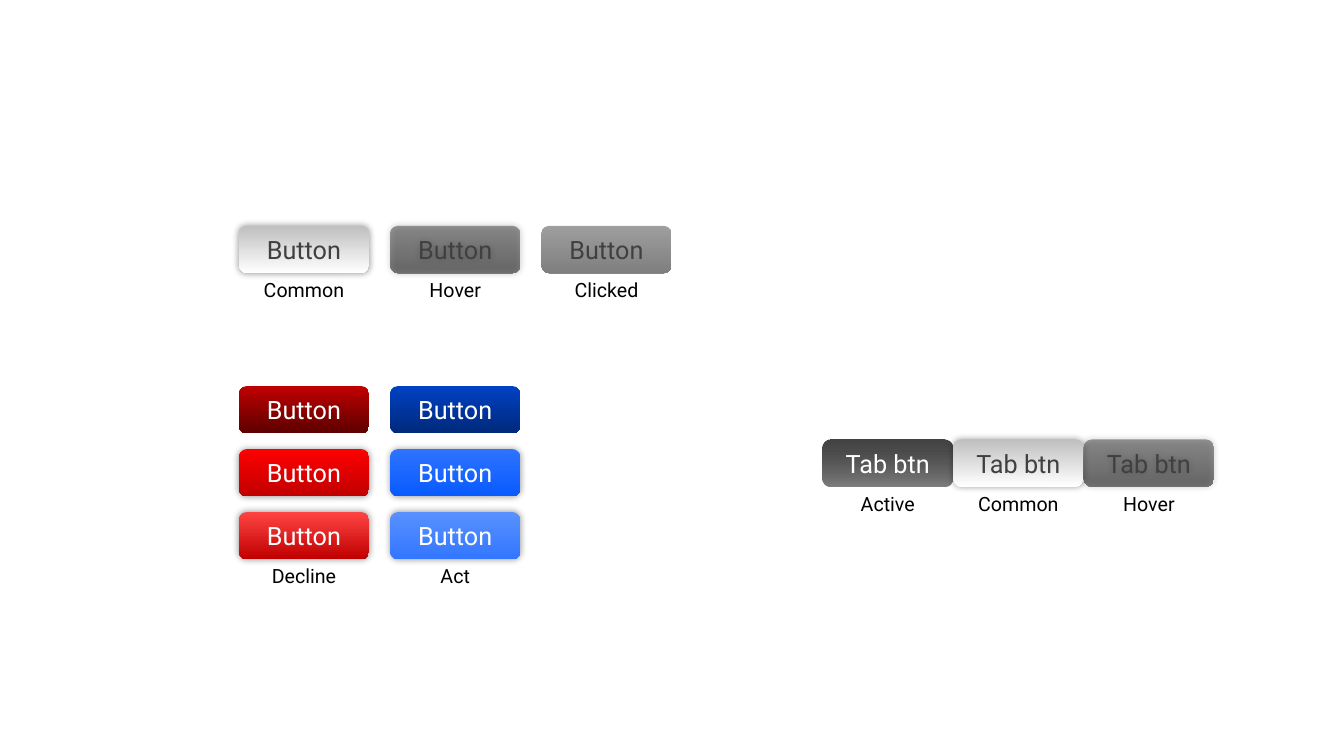
"""Build a slide showing the states of common, coloured and tab buttons."""
from lxml.etree import SubElement
from pptx import Presentation
from pptx.dml.color import RGBColor
from pptx.enum.shapes import MSO_SHAPE
from pptx.enum.text import MSO_ANCHOR, MSO_AUTO_SIZE, PP_ALIGN
from pptx.oxml.ns import qn
from pptx.util import Inches, Pt

SLIDE_W, SLIDE_H = 13.33, 7.5
BUTTON_W, BUTTON_H = 1.29, 0.47
LABEL_H = 0.34
FONT = "Roboto"
COLORS = {
    "white": "FFFFFF", "black": "000000", "charcoal": "404040", "silver": "BFBFBF",
    "maroon": "5C0000", "crimson": "C00000", "red": "FF0000", "coral": "FF4343",
    "navy": "00297A", "cobalt": "0041C4", "azure": "095BFF", "blue": "2D73FF",
    "cornflower": "3377FF", "sky": "5890FF",
}

# style: (top colour, top opacity), (bottom colour, bottom opacity), text colour, glow
STYLES = {
    "common": (("silver", 100), ("white", 100), "charcoal", True),
    "hover": (("charcoal", 50), ("black", 50), "charcoal", True),
    "clicked": (("charcoal", 50), ("black", 50), "charcoal", False),
    "active": (("charcoal", 100), ("black", 50), "white", False),
    "decline dark": (("crimson", 100), ("maroon", 100), "white", False),
    "decline": (("red", 100), ("crimson", 100), "white", True),
    "decline light": (("coral", 100), ("crimson", 100), "white", True),
    "act dark": (("cobalt", 100), ("navy", 100), "white", False),
    "act": (("blue", 100), ("azure", 100), "white", True),
    "act light": (("sky", 100), ("cornflower", 100), "white", True),
}

GROUPS = [
    {"caption": "Button", "origin": (2.37, 2.24), "pitch": (1.5, 0),
     "columns": [(0, "Common", ["common"]), (1, "Hover", ["hover"]),
                 (2, "Clicked", ["clicked"])]},
    {"caption": "Button", "origin": (2.37, 3.83), "pitch": (1.5, 0.625),
     "columns": [(0, "Decline", ["decline dark", "decline", "decline light"]),
                 (1, "Act", ["act dark", "act", "act light"])]},
    {"caption": "Tab btn", "origin": (8.16, 4.36), "pitch": (1.295, 0),
     "columns": [(0, "Active", ["active"]), (2, "Hover", ["hover"]),
                 (1, "Common", ["common"])]},
]


def write(shape, words, size, color):
    frame = shape.text_frame
    frame.text = words
    paragraph = frame.paragraphs[0]
    paragraph.alignment = PP_ALIGN.CENTER
    font = paragraph.runs[0].font
    font.name, font.size = FONT, Pt(size)
    font.color.rgb = RGBColor.from_string(COLORS[color])


def set_opacity(color_element, percent):
    SubElement(color_element, qn("a:alpha")).set("val", str(percent * 1000))


def add_glow(button):
    effects = button._element.spPr.find(qn("a:effectLst"))
    shadow = SubElement(effects, qn("a:outerShdw"), blurRad=str(Pt(5)), dist="0",
                        dir="0", algn="ctr", rotWithShape="0")
    set_opacity(SubElement(shadow, qn("a:srgbClr"), val=COLORS["black"]), 40)


def add_button(slide, left, top, caption, style):
    *ends, text_color, glow = STYLES[style]
    button = slide.shapes.add_shape(MSO_SHAPE.ROUNDED_RECTANGLE, Inches(left), Inches(top),
                                    Inches(BUTTON_W), Inches(BUTTON_H))
    button.shadow.inherit = False
    button.line.fill.background()
    button.fill.gradient()
    button.fill.gradient_angle = 270
    for stop, (color, _) in zip(button.fill.gradient_stops, ends):
        stop.color.rgb = RGBColor.from_string(COLORS[color])
    stop_colors = button._element.spPr.find(qn("a:gradFill")).iter(qn("a:srgbClr"))
    for stop_color, (_, opacity) in zip(stop_colors, ends):
        if opacity < 100:
            set_opacity(stop_color, opacity)
    if glow:
        add_glow(button)
    write(button, caption, 18, text_color)
    button.text_frame.vertical_anchor = MSO_ANCHOR.MIDDLE


def add_label(slide, left, top, words):
    label = slide.shapes.add_textbox(Inches(left), Inches(top),
                                     Inches(BUTTON_W), Inches(LABEL_H))
    write(label, words, 14, "black")
    label.text_frame.word_wrap = False
    label.text_frame.auto_size = MSO_AUTO_SIZE.SHAPE_TO_FIT_TEXT


def add_group(slide, group):
    (left, top), (column_step, row_step) = group["origin"], group["pitch"]
    for column, label, styles in group["columns"]:
        x = left + column * column_step
        for row, style in enumerate(styles):
            add_button(slide, x, top + row * row_step, group["caption"], style)
        add_label(slide, x, top + (len(styles) - 1) * row_step + BUTTON_H, label)


def main():
    deck = Presentation()
    deck.slide_width, deck.slide_height = Inches(SLIDE_W), Inches(SLIDE_H)
    slide = deck.slides.add_slide(deck.slide_layouts[6])
    for group in GROUPS:
        add_group(slide, group)
    deck.save("out.pptx")


if __name__ == "__main__":
    main()
